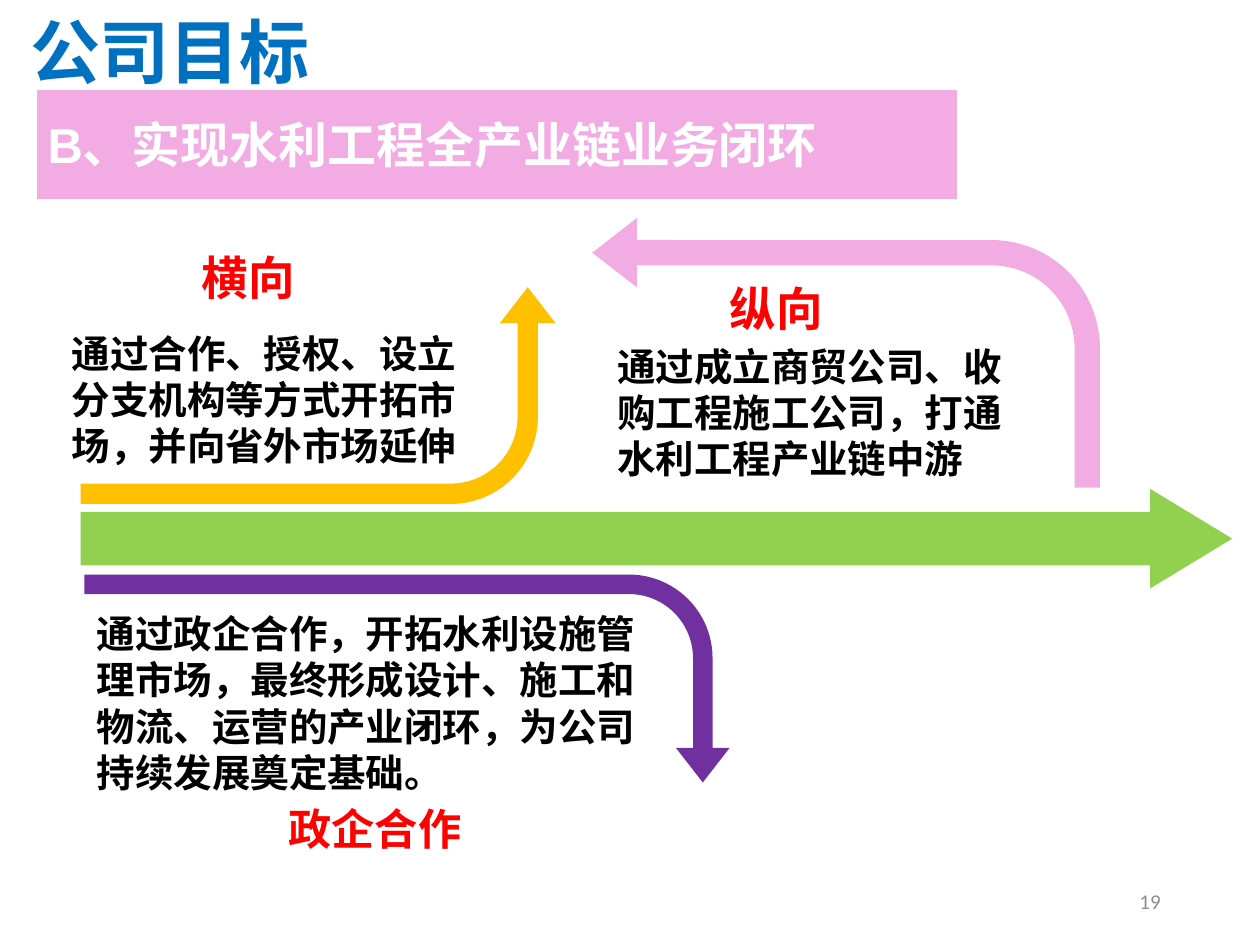
from collections import namedtuple

from lxml.etree import SubElement
from pptx import Presentation
from pptx.dml.color import RGBColor
from pptx.enum.shapes import MSO_SHAPE as Shape
from pptx.enum.text import MSO_ANCHOR as Anchor, PP_ALIGN as Align
from pptx.oxml.ns import qn
from pptx.util import Inches, Pt

Box = namedtuple("Box", "left top width height")

COLORS = {
    "title": "0070C0",
    "heading": "FF0000",
    "body": "000000",
    "number": "8C8C8C",
    "white": "FFFFFF",
    "pink": "F3ABE4",
    "gold": "FFC000",
    "purple": "7030A0",
    "green": "92D050",
}
BEND = (0.094, 0.129, 0.166, 0.402)

# Region box, arrow look, then heading and body boxes measured from the region's corner
BRANCHES = [
    dict(region=Box(0.67, 4.56, 5.12, 1.65), color="purple", rotation=90, flip=False,
         heading="政企合作", heading_box=Box(1.62, 1.75, 1.48, 0.53), heading_size=24.7,
         body="通过政企合作，开拓水利设施管理市场，最终形成设计、施工和物流、运营的产业闭环，"
              "为公司持续发展奠定基础。",
         body_box=Box(0.1, 0.37, 4.43, 1.38), body_anchor=Anchor.BOTTOM),
    dict(region=Box(0.64, 2.28, 3.77, 1.72), color="gold", rotation=270, flip=True,
         heading="横向", heading_box=Box(0.96, -0.35, 1.48, 0.53), heading_size=26.6,
         body="通过合作、授权、设立分支机构等方式开拓市场，并向省外市场延伸",
         body_box=Box(-0.07, 0.34, 3.1, 0.97), body_anchor=Anchor.TOP),
    dict(region=Box(4.7, 1.73, 4.03, 2.14), color="pink", rotation=180, flip=True,
         heading="纵向", heading_box=Box(1.09, 0.45, 1.48, 0.53), heading_size=26.6,
         body="通过成立商贸公司、收购工程施工公司，打通水利工程产业链中游",
         body_box=Box(0.2, 0.99, 3.08, 1.13), body_anchor=Anchor.TOP),
]


def rgb(name):
    return RGBColor.from_string(COLORS[name])


def inches(box):
    return [Inches(length) for length in box]


def within(region, part):
    """Place a part measured from the region's top left corner."""
    return Box(region.left + part.left, region.top + part.top, part.width, part.height)


def write(frame, text, *, size, color, font="Calibri", bold=True, align=Align.LEFT,
          anchor=Anchor.MIDDLE, margins=(0, 0), spacing=None):
    frame.word_wrap = True
    frame.vertical_anchor = anchor
    frame.margin_left = frame.margin_right = Inches(margins[0])
    frame.margin_top = frame.margin_bottom = Inches(margins[1])
    paragraph = frame.paragraphs[0]
    paragraph.alignment = align
    if spacing:
        paragraph.line_spacing = spacing
    run = paragraph.add_run()
    run.text = text
    run.font.size = Pt(size)
    run.font.bold = bold
    run.font.color.rgb = rgb(color)
    run.font.name = font
    SubElement(run.font._element, qn("a:ea"), typeface=font)


def add_text(slide, box, text, **style):
    write(slide.shapes.add_textbox(*inches(box)).text_frame, text, **style)


def add_filled(slide, kind, box, color, adjustments=()):
    shape = slide.shapes.add_shape(kind, *inches(box))
    shape.shadow.inherit = False
    shape.fill.solid()
    shape.fill.fore_color.rgb = rgb(color)
    shape.line.fill.background()
    for index, value in enumerate(adjustments):
        shape.adjustments[index] = value
    return shape


def add_bent_arrow(slide, region, color, rotation, flip):
    """Fill the region with a bent arrow; quarter turns swap its unrotated sides."""
    left, top, width, height = region
    if rotation % 180:
        shift = (width - height) / 2
        left, top, width, height = left + shift, top - shift, height, width
    arrow = add_filled(slide, Shape.BENT_ARROW, Box(left, top, width, height), color, BEND)
    arrow.rotation = rotation
    if flip:
        arrow._element.spPr.find(qn("a:xfrm")).set("flipV", "1")


def add_branch(slide, region, color, rotation, flip, heading, heading_box, heading_size,
               body, body_box, body_anchor):
    add_bent_arrow(slide, region, color, rotation, flip)
    add_text(slide, within(region, heading_box), heading, size=heading_size, color="heading")
    add_text(slide, within(region, body_box), body, size=22, color="body", anchor=body_anchor)


def add_header(slide, region):
    add_text(slide, within(region, Box(0, 0, 9.38, 0.53)), "公司目标", size=40,
             color="title", font="Noto Sans CJK SC", margins=(0.1, 0.05), spacing=1.1)
    banner = add_filled(slide, Shape.RECTANGLE, within(region, Box(0.14, 0.6, 7.33, 0.89)), "pink")
    banner.line.color.rgb = rgb("white")
    banner.line.width = Pt(2)
    write(banner.text_frame, "B、实现水利工程全产业链业务闭环", size=28, color="white",
          font="Arial", margins=(0.1, 0.05))


def add_page_number(slide, box):
    add_text(slide, box, "19", size=12, color="number", bold=False, align=Align.RIGHT,
             margins=(0.1, 0.05))


def main():
    deck = Presentation()
    deck.slide_width, deck.slide_height = Inches(10), Inches(7.5)
    slide = deck.slides.add_slide(deck.slide_layouts[6])
    add_filled(slide, Shape.RIGHT_ARROW, Box(0.64, 3.88, 9.14, 0.79), "green", (0.535, 0.825))
    for branch in BRANCHES:
        add_branch(slide, **branch)
    add_page_number(slide, Box(7.06, 6.95, 2.25, 0.4))
    add_header(slide, Box(0.14, 0.1, 9.38, 1.49))
    deck.save("out.pptx")


if __name__ == "__main__":
    main()
